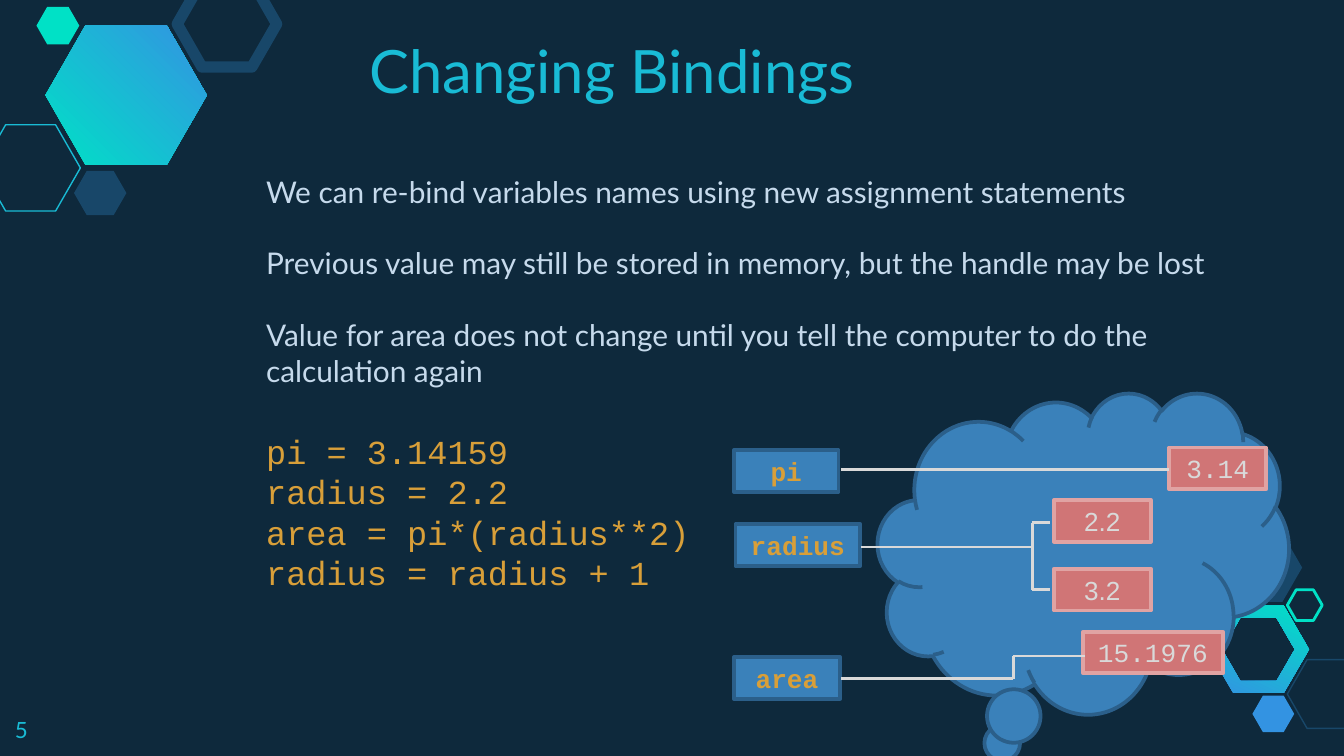
from dataclasses import dataclass

from lxml import etree
from pptx import Presentation
from pptx.dml.color import RGBColor
from pptx.enum.shapes import MSO_CONNECTOR, MSO_SHAPE
from pptx.enum.text import MSO_ANCHOR, PP_ALIGN
from pptx.oxml.ns import qn
from pptx.util import Cm, Pt

HEXAGON = MSO_SHAPE.HEXAGON
RECTANGLE = MSO_SHAPE.RECTANGLE
CLOUD = MSO_SHAPE.CLOUD_CALLOUT
STRAIGHT = MSO_CONNECTOR.STRAIGHT
LEFT, CENTER = PP_ALIGN.LEFT, PP_ALIGN.CENTER
MIDDLE = MSO_ANCHOR.MIDDLE


@dataclass(frozen=True)
class Theme:
    background: str = "0E293C"
    teal: str = "19BBD5"
    mint: str = "00E1C6"
    sky: str = "3393E2"
    navy: str = "184769"
    text: str = "C6DAEC"
    code: str = "D89F39"
    name_fill: str = "3A81BA"
    name_line: str = "2B5F8A"
    value_fill: str = "D07576"
    value_line: str = "E0A3A3"
    pale: str = "D9D9D9"
    sans: str = "Lato"
    mono: str = "Courier New"
    plain: str = "Arial"
    title_size: int = 32
    body_size: int = 16
    code_size: int = 18
    label_size: int = 14
    number_size: int = 12


THEME = Theme()


def rgb(color):
    return RGBColor.from_string(color)


def add_text(frame, text, *, size, color, font=THEME.sans, bold=False,
             align=LEFT, before=0, spacing=None, first=True):
    """Write one paragraph; first=False appends it to the frame."""
    paragraph = frame.paragraphs[0] if first else frame.add_paragraph()
    paragraph.alignment = align
    paragraph.space_before = Pt(before)
    if spacing:
        paragraph.line_spacing = Pt(spacing)
    run = paragraph.add_run()
    run.text = text
    run.font.size, run.font.name, run.font.bold = Pt(size), font, bold
    run.font.color.rgb = rgb(color)


def text_frame(slide, box):
    frame = slide.shapes.add_textbox(*map(Cm, box)).text_frame
    frame.word_wrap = True
    return frame


def paint(shape, fill=None, line=None, width=2):
    shape.shadow.inherit = False
    if fill:
        shape.fill.solid()
        shape.fill.fore_color.rgb = rgb(fill)
    else:
        shape.fill.background()
    if line:
        shape.line.color.rgb = rgb(line)
        shape.line.width = Pt(width)
    else:
        shape.line.fill.background()


def paint_gradient(shape, start, end, angle):
    paint(shape)
    shape.fill.gradient()
    shape.fill.gradient_angle = angle
    for stop, color in zip(shape.fill.gradient_stops, (start, end)):
        stop.color.rgb = rgb(color)


def add_shape(slide, kind, origin, box, **format):
    x, y, w, h = box
    shape = slide.shapes.add_shape(
        kind, Cm(origin[0] + x), Cm(origin[1] + y), Cm(w), Cm(h))
    paint(shape, **format)
    return shape


def add_hexagon(slide, origin, box, **format):
    hexagon = add_shape(slide, HEXAGON, origin, box, **format)
    hexagon.adjustments[0] = 0.287
    return hexagon


def add_hexagon_ring(slide, origin, box, hole=0.72):
    x, y, w, h = box
    cx, cy = origin[0] + x + w / 2, origin[1] + y + h / 2
    corners = [(-1, 0), (-0.5, -1), (0.5, -1), (1, 0), (0.5, 1), (-0.5, 1)]

    def outline(scale):
        return [(Cm(cx + dx * scale * w / 2), Cm(cy + dy * scale * h / 2))
                for dx, dy in corners]

    outer, inner = outline(1), outline(hole)[::-1]
    builder = slide.shapes.build_freeform(*outer[0], scale=1.0)
    builder.add_line_segments(outer[1:], close=True)
    builder.move_to(*inner[0])
    builder.add_line_segments(inner[1:], close=True)
    return builder.convert_to_shape()


def add_path(slide, origin, points):
    """Join the points with straight connectors."""
    ox, oy = origin
    for (x1, y1), (x2, y2) in zip(points, points[1:]):
        line = slide.shapes.add_connector(
            STRAIGHT, Cm(ox + x1), Cm(oy + y1), Cm(ox + x2), Cm(oy + y2))
        line.line.color.rgb = rgb(THEME.pale)
        line.line.width = Pt(1.5)
        etree.SubElement(line._element.spPr, qn("a:effectLst"))


def top_left_hexagons(slide, origin):
    big = add_hexagon(slide, origin, (0.86, 0.48, 3.05, 2.64))
    paint_gradient(big, THEME.mint, THEME.sky, 45)
    add_hexagon(slide, origin, (-0.36, 2.36, 1.88, 1.63), line=THEME.teal, width=0.75)
    add_hexagon(slide, origin, (1.4, 3.23, 0.99, 0.84), fill=THEME.navy)
    add_hexagon(slide, origin, (3.35, -0.36, 1.88, 1.63), line=THEME.navy, width=6)
    add_hexagon(slide, origin, (0.69, 0.13, 0.81, 0.71), fill=THEME.mint)


def bottom_right_hexagons(slide, origin):
    ring = add_hexagon_ring(slide, origin, (0, 1.37, 1.91, 1.65))
    paint_gradient(ring, THEME.sky, THEME.mint, 64)
    add_hexagon(slide, origin, (1.5, 2.39, 1.5, 1.3), line=THEME.navy, width=0.75)
    add_hexagon(slide, origin, (0.84, 3.07, 0.79, 0.69), fill=THEME.sky)
    add_hexagon(slide, origin, (0.28, 0, 1.5, 1.3), fill=THEME.navy)
    add_hexagon(slide, origin, (1.5, 1.07, 0.66, 0.58), line=THEME.mint, width=1.5)


def body(slide, box):
    frame = text_frame(slide, box)
    statements = [
        "We can re-bind variables names using new assignment statements",
        "Previous value may still be stored in memory, but the handle may be lost",
        "Value for area does not change until you tell the computer to do the "
        "calculation again",
    ]
    code = ["pi = 3.14159", "radius = 2.2", "area = pi*(radius**2)",
            "radius = radius + 1"]
    for i, statement in enumerate(statements):
        add_text(frame, statement, size=THEME.body_size, color=THEME.text,
                 before=19.2 if i else 0, first=i == 0)
    for i, code_line in enumerate(code):
        add_text(frame, code_line, size=THEME.code_size, color=THEME.code,
                 font=THEME.mono, before=0 if i else 23, spacing=21.6, first=False)


def add_label(slide, origin, text, place, fill, line, **format):
    x, y, w = place
    label = add_shape(slide, RECTANGLE, origin, (x, y, w, 0.79), fill=fill, line=line)
    label.text_frame.word_wrap = False
    label.text_frame.vertical_anchor = MIDDLE
    add_text(label.text_frame, text, size=THEME.label_size, align=CENTER, **format)


def memory_diagram(slide, origin):
    # Memory cloud
    add_shape(slide, CLOUD, origin, (2.72, 0, 7.77, 6.07),
              fill=THEME.name_fill, line=THEME.name_line)
    # Variable names
    names = {"pi": (0, 1.09, 1.98), "radius": (0.03, 2.49, 2.36),
             "area": (0, 5, 2.01)}
    for name, place in names.items():
        add_label(slide, origin, name, place, THEME.name_fill, THEME.name_line,
                  color=THEME.code, font=THEME.mono, bold=True)
    # Stored values
    values = [("3.14", (8.23, 1.04, 1.83), THEME.mono),
              ("2.2", (6.05, 2.03, 1.83), THEME.plain),
              ("3.2", (6.05, 3.33, 1.83), THEME.plain),
              ("15.1976", (6.6, 4.52, 2.64), THEME.mono)]
    for value, place, font in values:
        add_label(slide, origin, value, place, THEME.value_fill, THEME.value_line,
                  color=THEME.pale, font=font)
    # Bindings from names to values
    add_path(slide, origin, [(2.03, 1.45), (8.23, 1.45)])
    add_path(slide, origin, [(2.41, 2.92), (5.64, 2.92), (5.64, 2.46), (5.97, 2.46)])
    add_path(slide, origin, [(5.64, 2.92), (5.64, 3.73), (5.97, 3.73)])
    add_path(slide, origin, [(2.03, 5.41), (5.28, 5.41), (5.28, 4.98), (6.63, 4.98)])


def main():
    deck = Presentation()
    deck.slide_width, deck.slide_height = Cm(25.4), Cm(14.29)
    slide = deck.slides.add_slide(deck.slide_layouts[6])
    slide.background.fill.solid()
    slide.background.fill.fore_color.rgb = rgb(THEME.background)

    bottom_right_hexagons(slide, (22.83, 10.08))
    top_left_hexagons(slide, (0, 0))
    # Slide number and title
    add_text(text_frame(slide, (0.03, 13.41, 1.52, 0.99)), "5",
             size=THEME.number_size, color=THEME.teal)
    add_text(text_frame(slide, (6.73, 0.51, 11.2, 1.63)), "Changing Bindings",
             size=THEME.title_size, color=THEME.teal)
    body(slide, (4.78, 3.15, 19, 14.27))
    memory_diagram(slide, (13.87, 7.42))
    deck.save("out.pptx")


if __name__ == "__main__":
    main()
